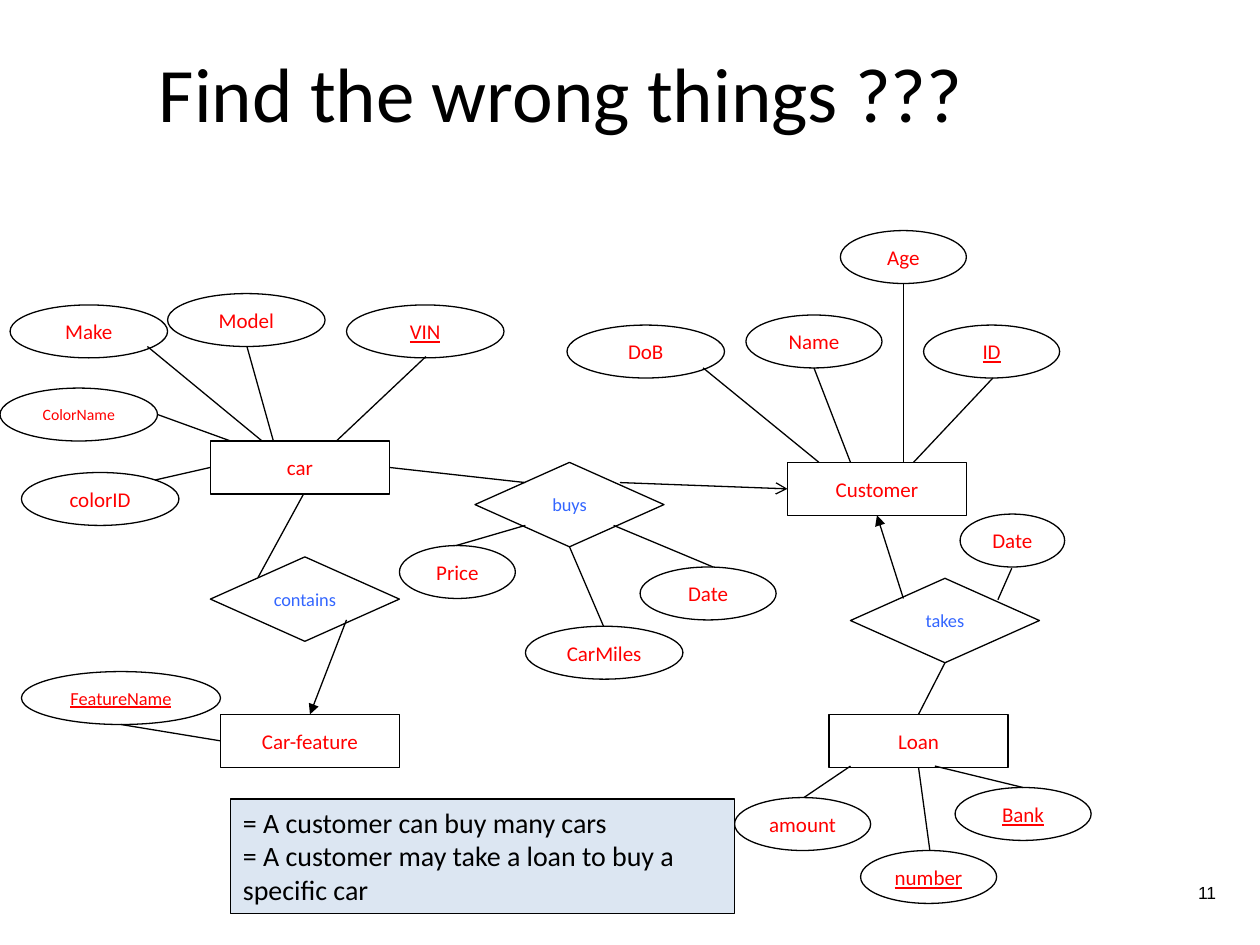
from collections import namedtuple

from lxml import etree
from pptx import Presentation
from pptx.dml.color import RGBColor
from pptx.enum.shapes import MSO_CONNECTOR, MSO_SHAPE
from pptx.enum.text import MSO_ANCHOR, PP_ALIGN
from pptx.oxml.ns import qn
from pptx.util import Inches, Pt

BLACK = RGBColor(0x00, 0x00, 0x00)
WHITE = RGBColor(0xFF, 0xFF, 0xFF)
RED = RGBColor(0xFF, 0x00, 0x00)
BLUE = RGBColor(0x33, 0x66, 0xFF)
PALE_BLUE = RGBColor(0xDC, 0xE6, 0xF2)
LINE_WIDTH = Pt(0.75)
TOP, LEFT, BOTTOM, RIGHT = range(4)

Box = namedtuple("Box", "left top width height")
Joint = namedtuple("Joint", "shape side")
Attribute = namedtuple("Attribute", "label left top width start end size key",
                       defaults=(12, False))


def inches(*values):
    return [Inches(v) for v in values]


def add_text(p, text, size, color=BLACK, font="Calibri", underline=None):
    r = p.add_run()
    r.text = text
    r.font.size = Pt(size)
    r.font.name = font
    r.font.color.rgb = color
    r.font.underline = underline


def add_node(s, kind, box, label, size=12, color=RED, fill=None, key=None):
    sp = s.shapes.add_shape(kind, *inches(*box))
    sp.shadow.inherit = False
    sp.line.color.rgb = BLACK
    sp.line.width = LINE_WIDTH
    if fill is None:
        sp.fill.background()
    else:
        sp.fill.solid()
        sp.fill.fore_color.rgb = fill
    tf = sp.text_frame
    tf.word_wrap = False
    tf.margin_left = tf.margin_right = tf.margin_top = tf.margin_bottom = 0
    tf.vertical_anchor = MSO_ANCHOR.MIDDLE
    p = tf.paragraphs[0]
    p.alignment = PP_ALIGN.CENTER
    add_text(p, label, size, color, underline=key)
    return sp


def add_link(s, box, start, end, arrow=None):
    joints = [e if isinstance(e, Joint) else None for e in (start, end)]
    points = [(0, 0) if isinstance(e, Joint) else (box.left + e[0], box.top + e[1])
              for e in (start, end)]
    c = s.shapes.add_connector(MSO_CONNECTOR.STRAIGHT, *inches(*points[0], *points[1]))
    for joint, connect in zip(joints, (c.begin_connect, c.end_connect)):
        if joint:
            connect(joint.shape, joint.side)
    c.line.color.rgb = BLACK
    c.line.width = LINE_WIDTH
    if arrow:
        etree.SubElement(c.line._get_or_add_ln(), qn("a:tailEnd"), type=arrow)
    etree.SubElement(c._element.spPr, qn("a:effectLst"))


def add_attributes(s, box, owner, attributes):
    for a in attributes:
        place = Box(box.left + a.left, box.top + a.top, a.width, 0.42)
        add_node(s, MSO_SHAPE.OVAL, place, a.label, a.size, key=a.key or None)
        end = Joint(owner, a.end) if isinstance(a.end, int) else a.end
        add_link(s, box, a.start, end)


def add_entity(s, left, top, label, attributes):
    box = Box(left, top, 1.42, 0.42)
    sp = add_node(s, MSO_SHAPE.RECTANGLE, box, label, fill=WHITE)
    add_attributes(s, box, sp, attributes)
    return sp


def add_relationship(s, left, top, label, links, attributes=()):
    box = Box(left, top, 1.5, 0.67)
    sp = add_node(s, MSO_SHAPE.DIAMOND, box, label, 10.5, BLUE)
    add_attributes(s, box, sp, attributes)
    for start, end, arrow in links:
        start = Joint(sp, start) if isinstance(start, int) else start
        add_link(s, box, start, end, arrow)


def add_title(s, box, text):
    title = s.shapes.title
    title.left, title.top, title.width, title.height = inches(*box)
    tf = title.text_frame
    tf.vertical_anchor = MSO_ANCHOR.MIDDLE
    p = tf.paragraphs[0]
    p.alignment = PP_ALIGN.CENTER
    add_text(p, text, 44)


def add_rules(s, box, rules):
    sp = s.shapes.add_textbox(*inches(*box))
    sp.fill.solid()
    sp.fill.fore_color.rgb = PALE_BLUE
    sp.line.color.rgb = BLACK
    sp.line.width = LINE_WIDTH
    tf = sp.text_frame
    tf.word_wrap = True
    for i, rule in enumerate(rules):
        p = tf.add_paragraph() if i else tf.paragraphs[0]
        add_text(p, rule, 16)


def add_slide_number(s, box, number):
    tf = s.shapes.add_textbox(*inches(*box)).text_frame
    tf.word_wrap = True
    tf.vertical_anchor = MSO_ANCHOR.MIDDLE
    p = tf.paragraphs[0]
    p.alignment = PP_ALIGN.RIGHT
    add_text(p, number, 10, font="Arial")


def add_diagram(s):
    car = add_entity(s, 1.67, 3.5, "car", [
        Attribute("ColorName", -1.67, -0.42, 1.25, (-0.42, -0.21), (0.16, 0), size=9),
        Attribute("colorID", -1.5, 0.25, 1.25, (-0.44, 0.31), LEFT),
        Attribute("VIN", 1.08, -1.08, 1.25, (1.71, -0.67), (1, 0), key=True),
        Attribute("Make", -1.59, -1.08, 1.25, (-0.5, -0.75), (0.41, 0)),
        Attribute("Model", -0.34, -1.17, 1.25, (0.29, -0.75), (0.5, 0)),
    ])
    customer = add_entity(s, 6.25, 3.67, "Customer", [
        Attribute("ID", 1.08, -1.09, 1.08, (1.63, -0.67), (1, 0), key=True),
        Attribute("DoB", -1.75, -1.09, 1.25, (-0.67, -0.75), (0.25, 0)),
        Attribute("Name", -0.33, -1.17, 1.08, (0.21, -0.75), (0.5, 0)),
        Attribute("Age", 0.42, -1.84, 1, (0.92, -1.42), (0.92, 0)),
    ])
    feature = add_entity(s, 1.75, 5.67, "Car-feature", [
        Attribute("FeatureName", -1.58, -0.34, 1.58, (-0.79, 0.08), LEFT, 10.5, True),
    ])
    loan = add_entity(s, 6.58, 5.67, "Loan", [
        Attribute("amount", -0.75, 0.66, 1.08, (-0.2, 0.66), (0.17, 0.41)),
        Attribute("number", 0.25, 1.08, 1.08, (0.8, 1.08), BOTTOM, key=True),
        Attribute("Bank", 1, 0.58, 1.08, (1.54, 0.58), (0.84, 0.41), key=True),
    ])
    add_relationship(s, 1.67, 4.42, "contains", [
        ((0.38, 0.16), (0.74, -0.5), None),
        ((1.08, 0.5), Joint(feature, TOP), "triangle"),
    ])
    add_relationship(s, 3.77, 3.67, "buys", [
        ((0.4, 0.16), Joint(car, RIGHT), None),
        ((1.15, 0.16), Joint(customer, LEFT), "arrow"),
    ], [
        Attribute("Date", 1.31, 0.83, 1.08, (1.89, 0.83), (1.1, 0.5)),
        Attribute("CarMiles", 0.4, 1.3, 1.25, (1.02, 1.3), BOTTOM),
        Attribute("Price", -0.6, 0.66, 0.92, (-0.15, 0.66), (0.4, 0.5)),
    ])
    add_relationship(s, 6.75, 4.59, "takes", [
        ((0.42, 0.16), Joint(customer, BOTTOM), "triangle"),
        (BOTTOM, Joint(loan, TOP), None),
    ], [
        Attribute("Date", 0.87, -0.51, 0.83, (1.28, -0.08), (1.17, 0.17)),
    ])


def main():
    prs = Presentation()
    prs.slide_width, prs.slide_height = inches(10, 7.5)
    s = prs.slides.add_slide(prs.slide_layouts[5])
    add_title(s, Box(0.33, 0.13, 8.25, 1.2), "Find the wrong things ???")
    add_slide_number(s, Box(8.5, 6.83, 1.25, 0.5), "11")
    add_diagram(s)
    add_rules(s, Box(1.83, 6.34, 4, 0.91), [
        "= A customer can buy many cars",
        "= A customer may take a loan to buy a specific car",
    ])
    prs.save("out.pptx")


if __name__ == "__main__":
    main()
